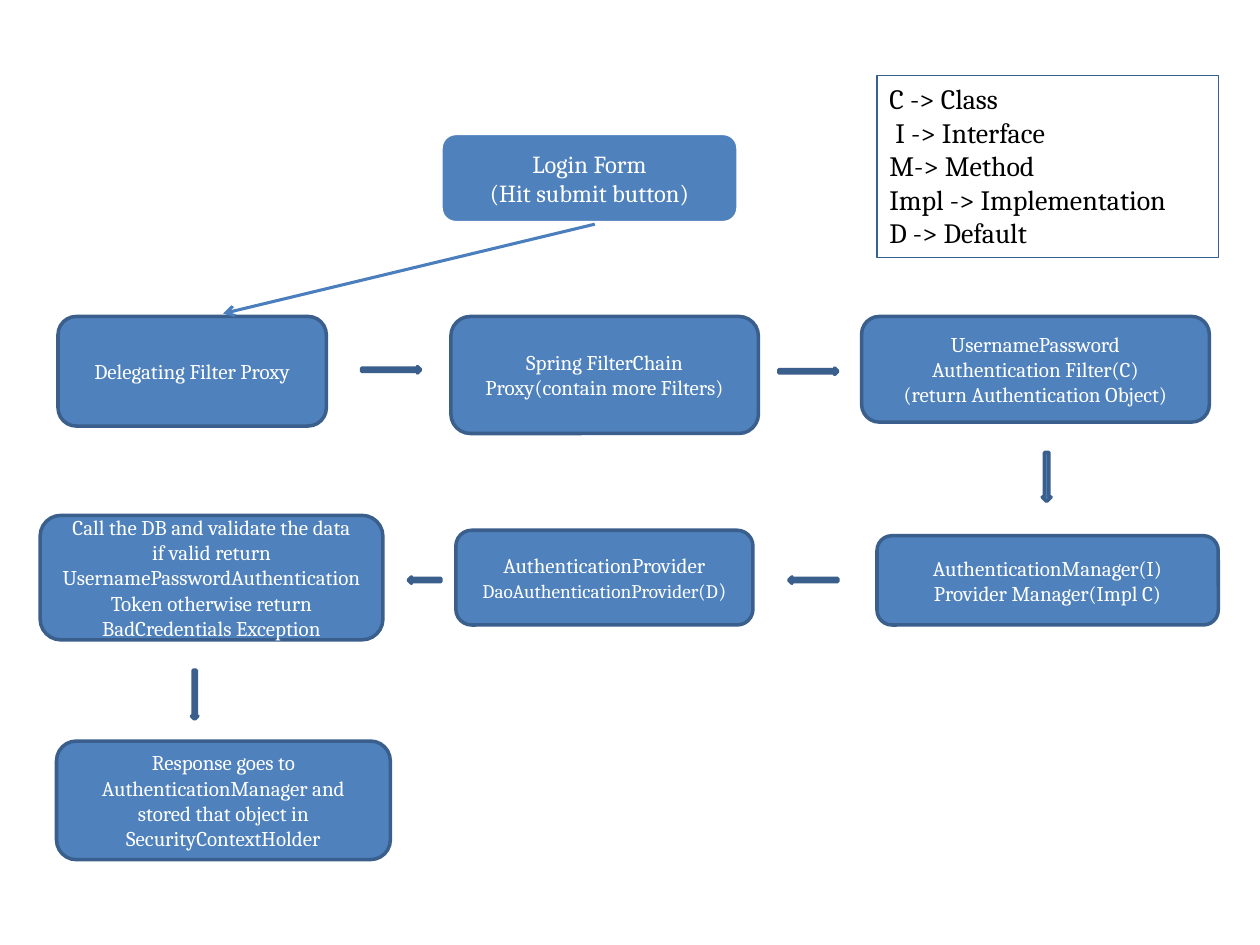
"""Build the login authentication flow slide."""
from lxml.etree import SubElement as sub
from pptx import Presentation
from pptx.dml.color import RGBColor as Rgb
from pptx.enum.shapes import MSO_CONNECTOR as Link, MSO_SHAPE as Kind
from pptx.enum.text import MSO_ANCHOR as Anchor, MSO_AUTO_SIZE as Fit, PP_ALIGN as Align
from pptx.oxml.ns import qn
from pptx.util import Cm, Pt

FONT = "Cambria"
COLORS = {"fill": "4F81BD", "edge": "3A5F8C", "link": "4B7EBC",
          "frame": "376092", "white": "FFFFFF", "black": "000000"}

LOGIN = ((8.89, 2.69, 5.99, 1.8), ["Login Form", "(Hit submit button)"])
STEPS = [
    ((1.17, 6.38, 5.41, 2.21), ["Delegating Filter Proxy"]),
    ((9.09, 6.38, 6.2, 2.36), ["Spring FilterChain", "Proxy(contain more Filters)"]),
    ((17.37, 6.38, 7.01, 2.13), ["UsernamePassword", "Authentication Filter(C)",
                                 "(return Authentication Object)"]),
    ((17.68, 10.8, 6.88, 1.8), ["AuthenticationManager(I)", "Provider Manager(Impl C)"]),
    ((9.19, 10.69, 5.99, 1.91), ["AuthenticationProvider",
                                 [("DaoAuthenticationProvider(D", 11), (")", 12)]]),
    ((0.81, 10.39, 6.91, 2.51), [
        "Call the DB and validate the data",
        "if valid return UsernamePasswordAuthenticationToken "
        "otherwise return BadCredentials Exception"]),
    ((1.14, 14.94, 6.73, 2.39), ["Response goes to AuthenticationManager and "
                                 "stored that object in SecurityContextHolder"]),
]
ARROWS = [
    (Kind.RIGHT_ARROW, (7.29, 7.39, 1.19, 0.13)),
    (Kind.RIGHT_ARROW, (15.7, 7.42, 1.19, 0.13)),
    (Kind.DOWN_ARROW, (21.01, 9.12, 0.18, 0.99)),
    (Kind.LEFT_ARROW, (15.9, 11.63, 0.99, 0.13)),
    (Kind.LEFT_ARROW, (8.23, 11.63, 0.66, 0.13)),
    (Kind.DOWN_ARROW, (3.86, 13.51, 0.13, 0.99)),
]
LEGEND = ((17.68, 1.52, 6.88, 3.68),
          ["C -> Class", " I -> Interface", "M-> Method",
           "Impl -> Implementation", "D -> Default"])
JUMP = (11.99, 4.52, 4.5, 6.32)


def color(name):
    return Rgb.from_string(COLORS[name])


def cms(box):
    return [Cm(n) for n in box]


def outline(line, name, width):
    line.color.rgb = color(name)
    line.width = Pt(width)


def write(frame, lines, size, ink, align):
    frame.word_wrap = True
    for i, line in enumerate(lines):
        para = frame.paragraphs[0] if i == 0 else frame.add_paragraph()
        para.alignment = align
        font = para.font
        font.name, font.size = FONT, Pt(size)
        font.color.rgb = color(ink)
        runs = [(line, None)] if isinstance(line, str) else line
        for text, own in runs:
            run = para.add_run()
            run.text = text
            if own:
                run.font.size = Pt(own)


def block(kind, box, edge="edge"):
    shape = slide.shapes.add_shape(kind, *cms(box))
    shape.shadow.inherit = False
    shape.fill.solid()
    shape.fill.fore_color.rgb = color("fill")
    outline(shape.line, edge, 2)
    return shape


def card(box, lines, size=12, edge="edge"):
    frame = block(Kind.ROUNDED_RECTANGLE, box, edge).text_frame
    frame.vertical_anchor = Anchor.MIDDLE
    write(frame, lines, size, "white", Align.CENTER)


deck = Presentation()
deck.slide_width, deck.slide_height = Cm(25.4), Cm(19.05)
slide = deck.slides.add_slide(deck.slide_layouts[6])

card(*LOGIN, size=14, edge="white")
for box, lines in STEPS:
    card(box, lines)
for kind, box in ARROWS:
    block(kind, box)

jump = slide.shapes.add_connector(Link.STRAIGHT, *cms(JUMP))
outline(jump.line, "link", 1.75)
props = jump.element.spPr
sub(props.find(qn("a:ln")), qn("a:tailEnd"), type="arrow")
sub(props, qn("a:effectLst"))

box, lines = LEGEND
legend = slide.shapes.add_textbox(*cms(box))
outline(legend.line, "frame", 0.75)
write(legend.text_frame, lines, 16, "black", Align.LEFT)
legend.text_frame.auto_size = Fit.SHAPE_TO_FIT_TEXT

deck.save("out.pptx")
